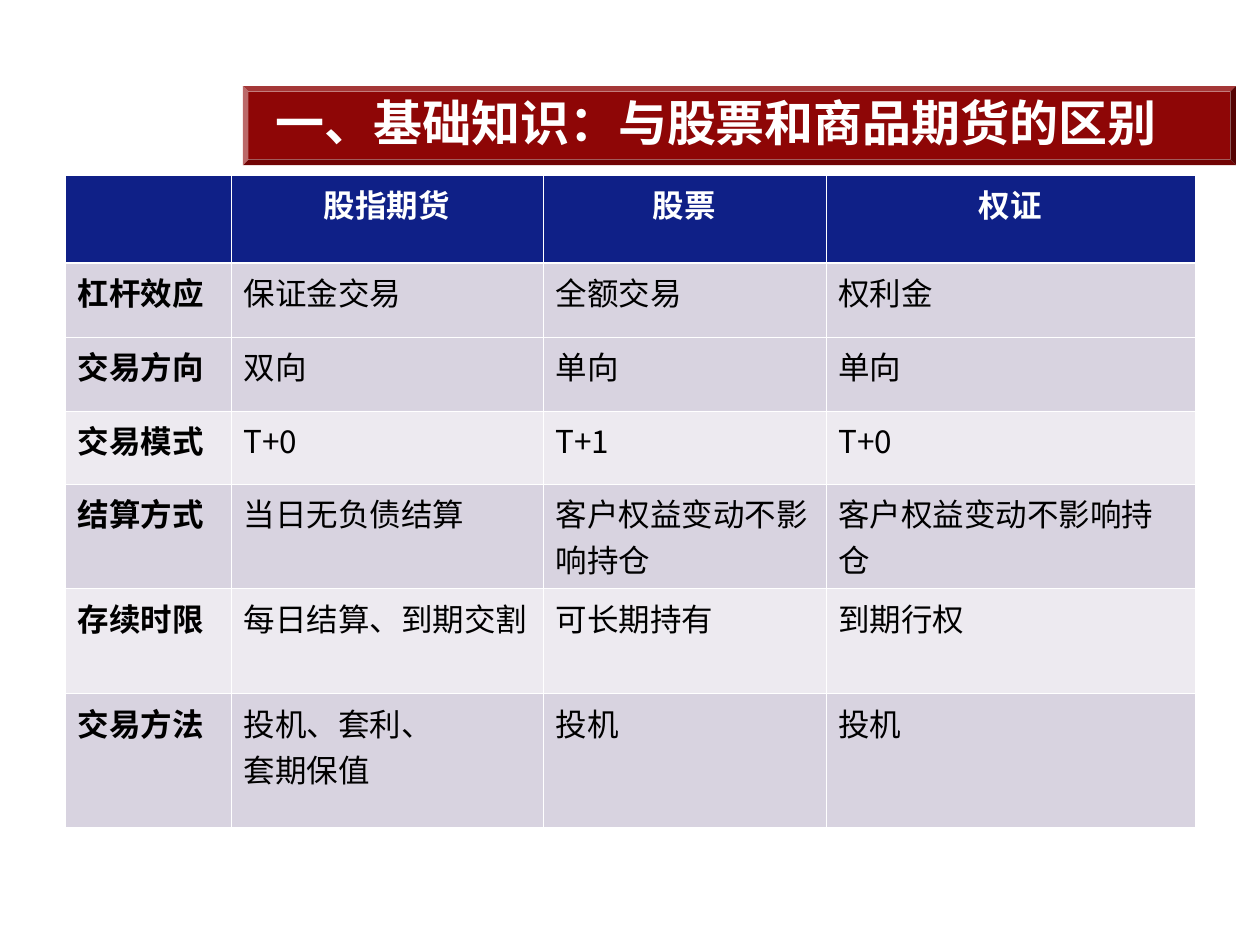
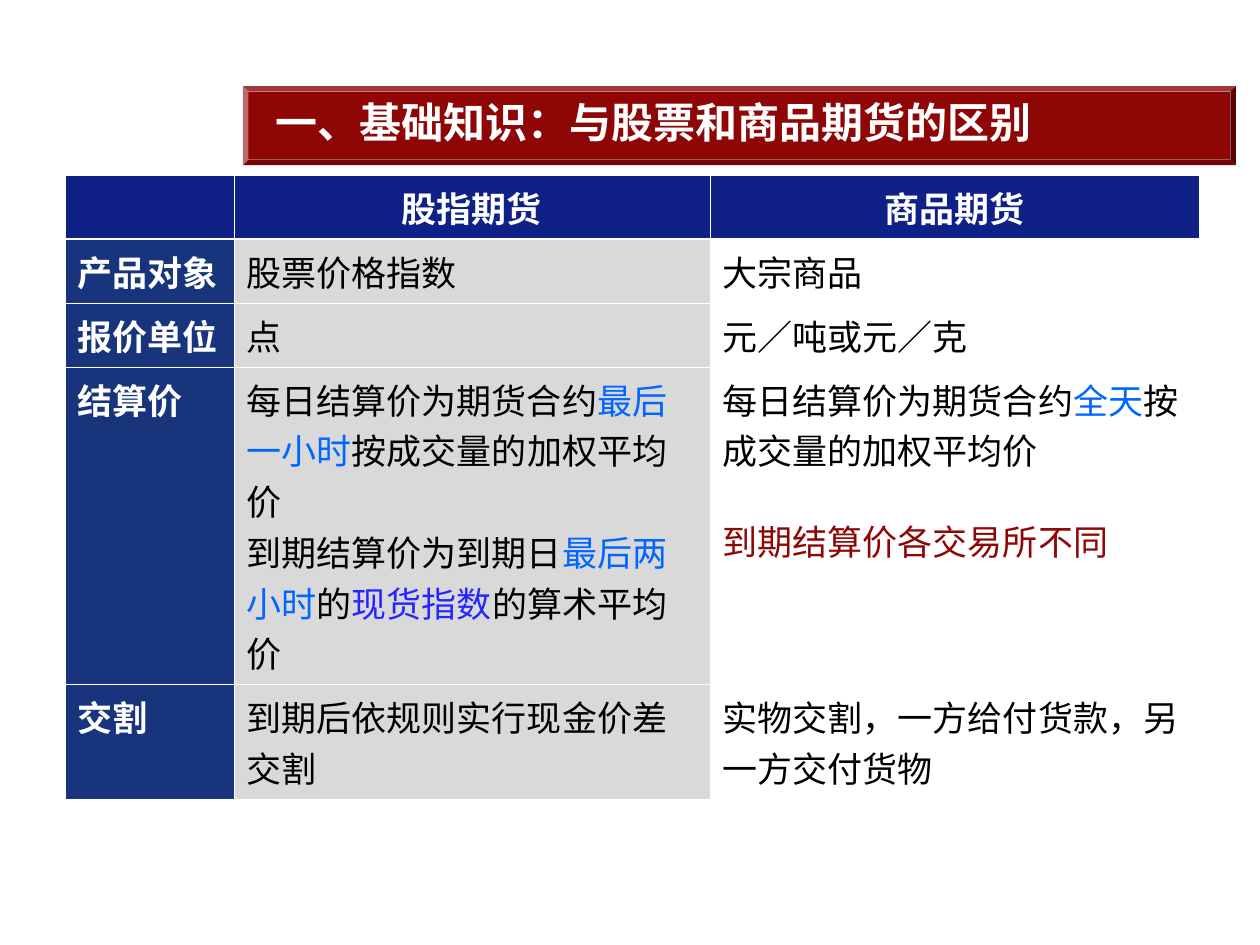
from lxml import etree
from pptx import Presentation
from pptx import util as u
from pptx.dml.color import RGBColor
from pptx.enum import shapes, text
from pptx.oxml.ns import qn

HUES = {
    "white": "FFFFFF", "black": "000000", "red": "8E0606",
    "navy": "0F2087", "blue": "17347D", "lilac": "D8D3E0",
    "pale": "EDEAF0", "grey": "D9D9D9", "sky": "0066FF",
    "violet": "2525FF",
}
SANS = "Noto Sans CJK SC"
TITLE = "一、基础知识：与股票和商品期货的区别"
MID, TOP = text.MSO_ANCHOR.MIDDLE, text.MSO_ANCHOR.TOP
LEFT, CENTRE = text.PP_ALIGN.LEFT, text.PP_ALIGN.CENTER


def px(n):
    return u.Emu(round(n * 914400 / 126))


def hue(name):
    return RGBColor.from_string(HUES[name])


def put(item, **form):
    for key, value in form.items():
        setattr(item, key, value)


class Deck:
    def __init__(self):
        self.file = Presentation()
        put(self.file, slide_width=px(1260), slide_height=px(945))
        self.plan = self.file.slide_layouts[5]
        self.slide = None

    def page(self, title, size, face=SANS):
        self.slide = self.file.slides.add_slide(self.plan)
        if len(self.file.slides) == 1:
            self.band()
        box = self.slide.shapes.title
        put(box, left=px(263), top=px(79), width=px(953), height=px(85))
        put(box.text_frame, auto_size=text.MSO_AUTO_SIZE.NONE,
            word_wrap=True, vertical_anchor=MID)
        para = box.text_frame.paragraphs[0]
        para.alignment = LEFT
        self.run(para, title, size, "white", True, face)

    def band(self):
        bar = self.slide.shapes.add_shape(
            shapes.MSO_SHAPE.BEVEL, px(243), px(86), px(993), px(79))
        bar.adjustments[0] = 0.07
        bar.shadow.inherit = False
        bar.fill.solid()
        bar.fill.fore_color.rgb = hue("red")
        bar.line.fill.background()
        self.plan.shapes._spTree.append(bar._element)

    def run(self, para, words, size, tint, bold=False, face=SANS):
        run = para.add_run()
        run.text = words
        put(run.font, size=u.Pt(size), bold=bold, name=face)
        run.font.color.rgb = hue(tint)
        east = etree.SubElement(run._r.get_or_add_rPr(), qn("a:ea"))
        east.set("typeface", face)

    def edge(self, cell, **sides):
        props = cell._tc.get_or_add_tcPr()
        for i, (side, width) in enumerate(sides.items()):
            line = etree.Element(qn("a:ln" + side), w=str(u.Pt(width)))
            fill = etree.SubElement(line, qn("a:solidFill"))
            etree.SubElement(fill, qn("a:srgbClr"), val=HUES["white"])
            props.insert(i, line)

    def cell(self, cell, body, size, tint, bold, fill, align, anchor, gap):
        cell.fill.solid()
        cell.fill.fore_color.rgb = hue(fill)
        cell.vertical_anchor = anchor
        frame = cell.text_frame
        lines = body if isinstance(body, list) else [body]
        for i, line in enumerate(lines):
            para = frame.add_paragraph() if i else frame.paragraphs[0]
            para.alignment = align
            if i and gap:
                para.space_before = u.Pt(gap)
            parts = line if isinstance(line, tuple) else (line,)
            for part in parts:
                words, shade = part if isinstance(part, list) else (part, tint)
                if words:
                    self.run(para, words, size, shade, bold)

    def table(self, rows, wide, high, size, look):
        grid = self.slide.shapes.add_table(
            len(high), len(wide), px(65), px(175),
            px(sum(wide)), px(sum(high))).table
        grid.horz_banding = False
        for col, width in zip(grid.columns, wide):
            col.width = px(width)
        for r, (row, height) in enumerate(zip(rows, high)):
            grid.rows[r].height = px(height)
            for c, body in enumerate(row):
                cell = grid.cell(r, c)
                form = look(r, c)
                align = LEFT if r else CENTRE
                self.cell(cell, body, size, form["tint"], not (r and c),
                          form["fill"], align, form["anchor"],
                          form.get("gap"))
                self.edge(cell, L=0.45, R=0.45, T=1.47 if r == 1 else 0.45,
                          B=0.45 if r else 1.47)


def stock(r, c):
    if r == 0:
        return dict(fill="navy", tint="white", anchor=TOP)
    return dict(fill="pale" if r in (3, 5) else "lilac",
                tint="black", anchor=TOP)


def goods(r, c):
    fill = ("blue", "grey", "white")[c] if r else "navy"
    return dict(fill=fill, tint="black" if r and c else "white",
                anchor=MID if r < 3 else TOP,
                gap=23 if c == 2 else None)


STOCK = [
    ["", "股指期货", "股票", "权证"],
    ["杠杆效应", "保证金交易", "全额交易", "权利金"],
    ["交易方向", "双向", "单向", "单向"],
    ["交易模式", "T+0", "T+1", "T+0"],
    ["结算方式", "当日无负债结算", "客户权益变动不影响持仓",
     "客户权益变动不影响持仓"],
    ["存续时限", "每日结算、到期交割", "可长期持有", "到期行权"],
    ["交易方法", ["投机、套利、", "套期保值"], "投机", "投机"],
]
GOODS = [
    ["", "股指期货", "商品期货"],
    ["产品对象", "股票价格指数", "大宗商品"],
    ["报价单位", "点", "元／吨或元／克"],
    ["结算价",
     [("每日结算价为期货合约", ["最后一小时", "sky"], "按成交量的加权平均价"),
      ("到期结算价为到期日", ["最后两小时", "sky"], "的",
       ["现货指数", "violet"], "的算术平均价")],
     [("每日结算价为期货合约", ["全天", "sky"], "按成交量的加权平均价"),
      (["到期结算价各交易所不同", "red"],)]],
    ["交割", "到期后依规则实行现金价差交割",
     "实物交割，一方给付货款，另一方交付货物"],
]


def main():
    deck = Deck()
    deck.page(TITLE, 28, "DejaVu Sans")
    deck.table(STOCK, [166, 312, 283, 369],
               [88, 74, 74, 73, 105, 105, 134], 18, stock)
    deck.page(TITLE, 24)
    deck.table(GOODS, [169, 476, 489], [64, 64, 64, 317, 115], 20, goods)
    deck.file.save("out.pptx")


if __name__ == "__main__":
    main()
